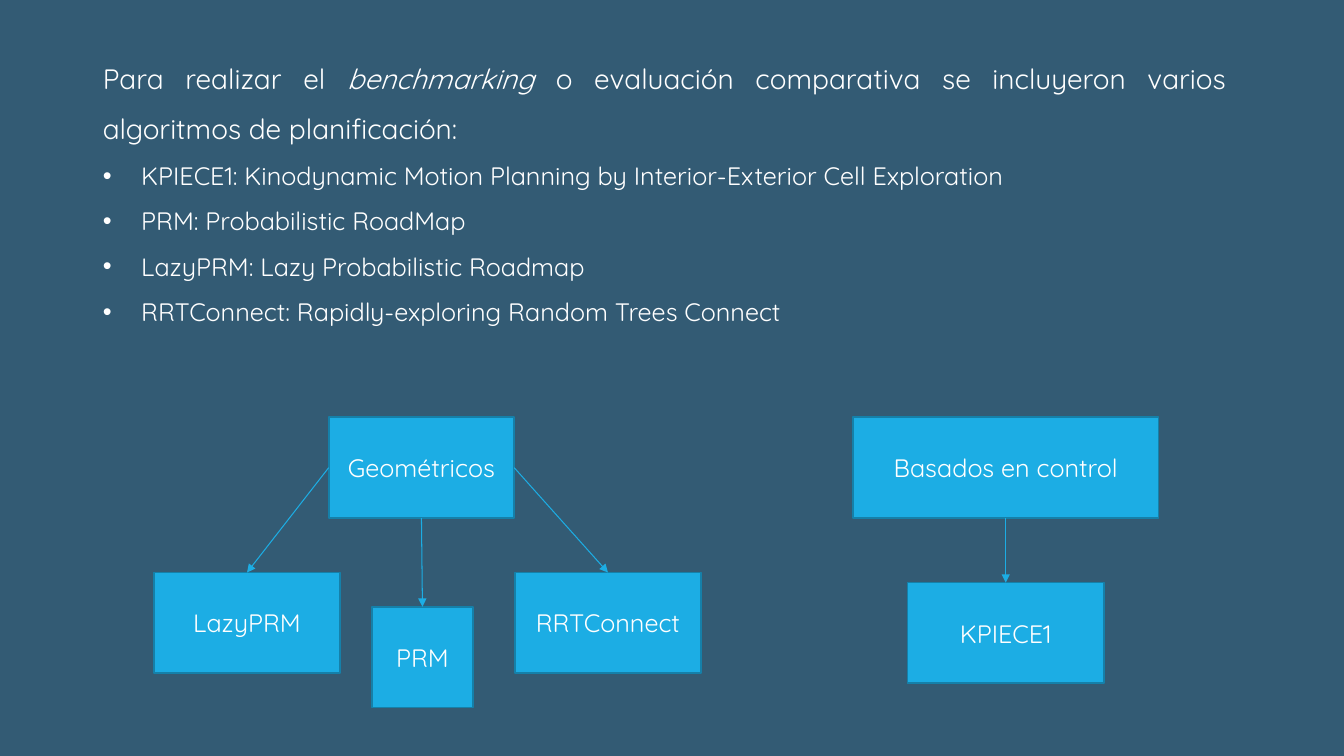
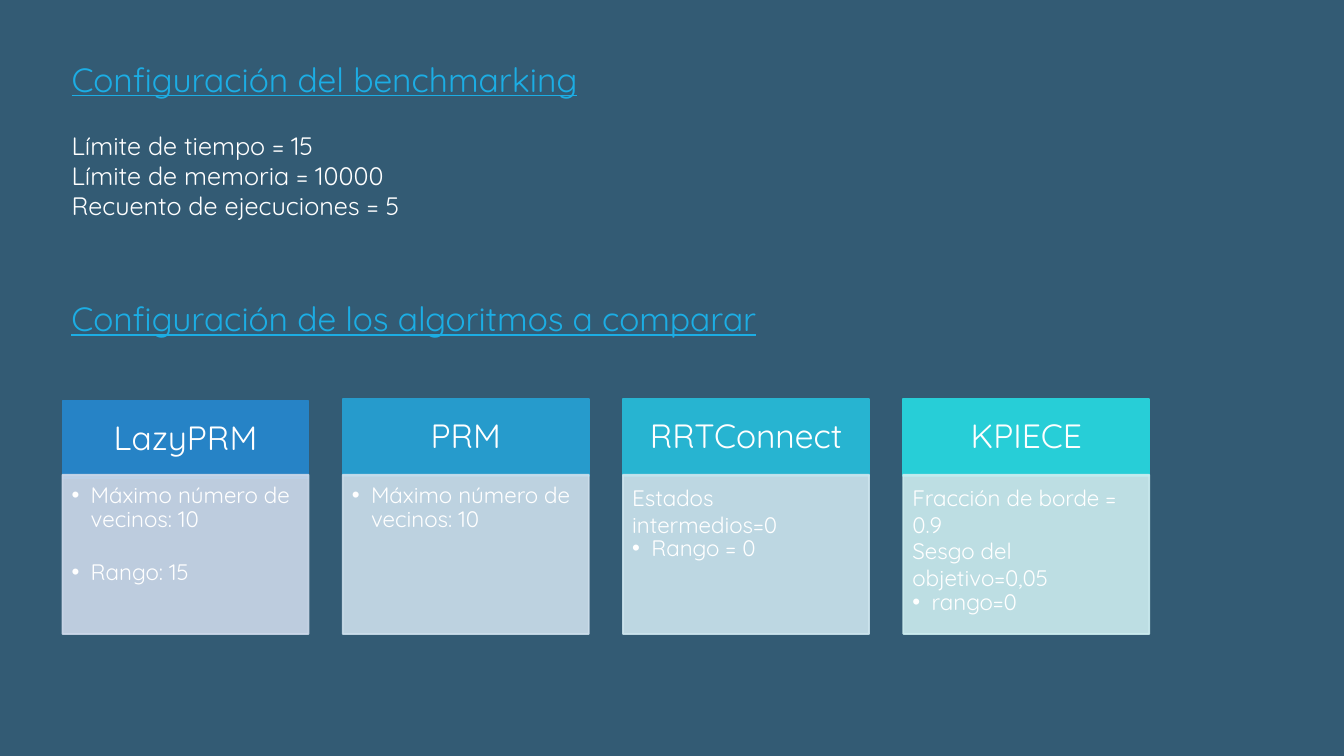
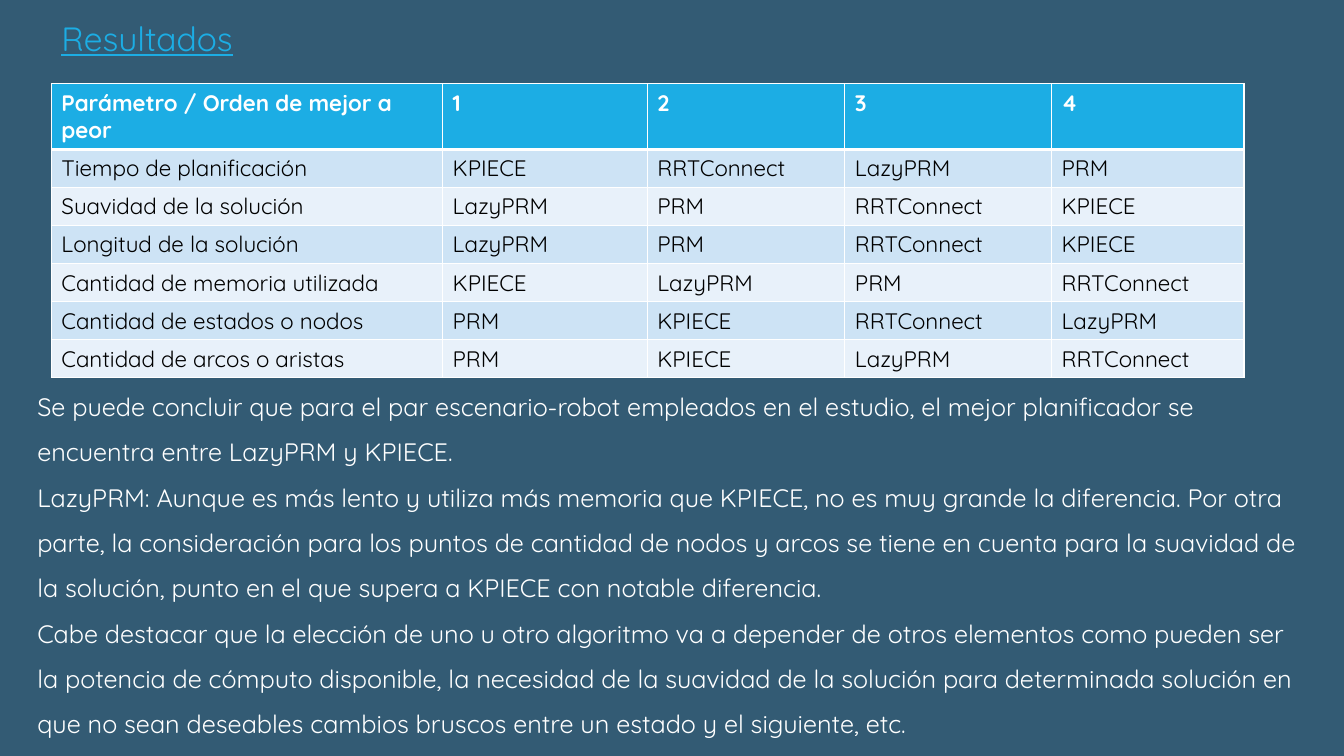
from lxml.etree import SubElement
from pptx import Presentation
from pptx.dml.color import RGBColor
from pptx.enum.shapes import MSO_CONNECTOR, MSO_SHAPE
from pptx.enum.text import MSO_ANCHOR, MSO_AUTO_SIZE, PP_ALIGN
from pptx.oxml.ns import qn
from pptx.util import Inches, Pt

FONT = "Quicksand"
NAVY = RGBColor(0x33, 0x5B, 0x74)
SKY = RGBColor(0x1C, 0xAD, 0xE4)
EDGE = RGBColor(0x15, 0x80, 0xA9)
WHITE = RGBColor(0xFF, 0xFF, 0xFF)
BLACK = RGBColor(0, 0, 0)
BANDS = RGBColor(0xE8, 0xF1, 0xFA), RGBColor(0xCD, 0xE3, 0xF5)

PLANS = [
    "KPIECE1: Kinodynamic Motion Planning by Interior-Exterior Cell Exploration",
    "PRM: Probabilistic RoadMap",
    "LazyPRM: Lazy Probabilistic Roadmap",
    "RRTConnect: Rapidly-exploring Random Trees Connect",
]
LIMITS = ["Límite de tiempo = 15", "Límite de memoria = 10000",
          "Recuento de ejecuciones = 5"]
CARDS = [
    ("LazyPRM", RGBColor(0x26, 0x83, 0xC6), RGBColor(0xCD, 0xD9, 0xEA), 0.02,
     [], ["Máximo número de vecinos: 10", "Rango: 15"]),
    ("PRM", RGBColor(0x26, 0x9B, 0xCC), RGBColor(0xCD, 0xDF, 0xEC), 0,
     [], ["Máximo número de vecinos: 10"]),
    ("RRTConnect", RGBColor(0x27, 0xB4, 0xD1), RGBColor(0xCD, 0xE5, 0xEE), 0,
     ["Estados intermedios=0"], ["Rango = 0"]),
    ("KPIECE", RGBColor(0x27, 0xCE, 0xD7), RGBColor(0xCD, 0xED, 0xF0), 0,
     ["Fracción de borde = 0.9", "Sesgo del objetivo=0,05"], ["rango=0"]),
]
RANKS = [
    ["Parámetro / Orden de mejor a peor", "1", "2", "3", "4"],
    ["Tiempo de planificación", "KPIECE", "RRTConnect", "LazyPRM", "PRM"],
    ["Suavidad de la solución", "LazyPRM", "PRM", "RRTConnect", "KPIECE"],
    ["Longitud de la solución", "LazyPRM", "PRM", "RRTConnect", "KPIECE"],
    ["Cantidad de memoria utilizada", "KPIECE", "LazyPRM", "PRM", "RRTConnect"],
    ["Cantidad de estados o nodos", "PRM", "KPIECE", "RRTConnect", "LazyPRM"],
    ["Cantidad de arcos o aristas", "PRM", "KPIECE", "LazyPRM", "RRTConnect"],
]
NOTES = [
    "Se puede concluir que para el par escenario-robot empleados en el estudio, "
    "el mejor planificador se encuentra entre LazyPRM y KPIECE.",
    "LazyPRM: Aunque es más lento y utiliza más memoria que KPIECE, no es muy "
    "grande la diferencia. Por otra parte, la consideración para los puntos de "
    "cantidad de nodos y arcos se tiene en cuenta para la suavidad de la "
    "solución, punto en el que supera a KPIECE con notable diferencia.",
    "Cabe destacar que la elección de uno u otro algoritmo va a depender de "
    "otros elementos como pueden ser la potencia de cómputo disponible, la "
    "necesidad de la suavidad de la solución para determinada solución en que "
    "no sean deseables cambios bruscos entre un estado y el siguiente, etc.",
]


def write(frame, text, size=18, color=WHITE, bold=False, under=False,
          align=PP_ALIGN.LEFT, line=1.0, before=0, hang=0):
    """Add a paragraph; a hang gives a bullet, and *stars* give italics."""
    para = frame.add_paragraph() if frame.text else frame.paragraphs[0]
    props = para._p.get_or_add_pPr()
    props.set("marL", str(Inches(hang)))
    props.set("indent", str(-Inches(hang)))
    if hang:
        SubElement(props, qn("a:buFont")).set("typeface", "Arial")
        SubElement(props, qn("a:buChar")).set("char", "•")
    else:
        SubElement(props, qn("a:buNone"))
    para.alignment = align
    para.line_spacing = line
    para.space_before, para.space_after = Pt(before), Pt(0)
    for i, part in enumerate(text.split("*")):
        run = para.add_run()
        run.text = part
        font = run.font
        font.name, font.size, font.color.rgb = FONT, Pt(size), color
        font.bold, font.italic, font.underline = bold, i % 2 == 1, under


def place(shape, box):
    """Move a text shape to its box and return its frame."""
    shape.left, shape.top, shape.width, shape.height = map(Inches, box)
    frame = shape.text_frame
    frame.word_wrap = True
    frame.auto_size = MSO_AUTO_SIZE.NONE
    frame.vertical_anchor = MSO_ANCHOR.TOP
    return frame


def head(shape, box, text):
    """Write a section heading."""
    write(place(shape, box), text, size=24, color=SKY, under=True)


def block(slide, box, fill, edge):
    """Draw a plain rectangle."""
    shape = slide.shapes.add_shape(MSO_SHAPE.RECTANGLE, *map(Inches, box))
    shape.shadow.inherit = False
    shape.fill.solid()
    shape.fill.fore_color.rgb = fill
    shape.line.color.rgb = edge
    shape.line.width = Pt(1.25)
    return shape


def node(slide, box, text):
    """Draw a labelled box of a tree."""
    shape = block(slide, box, SKY, EDGE)
    shape.text_frame.vertical_anchor = MSO_ANCHOR.MIDDLE
    write(shape.text_frame, text, align=PP_ALIGN.CENTER)
    return shape


def arrow(slide, start, side, end):
    """Join a side of one node to the top of another."""
    link = slide.shapes.add_connector(MSO_CONNECTOR.STRAIGHT, 0, 0, 0, 0)
    link.begin_connect(start, side)
    link.end_connect(end, 0)
    link.line.color.rgb = SKY
    link.line.width = Pt(0.75)
    SubElement(link.line._get_or_add_ln(), qn("a:tailEnd")).set("type", "triangle")
    SubElement(link._element.spPr, qn("a:effectLst"))


def tree(slide, left, top, root, kids):
    """Draw a root with its child nodes below, offset from left and top."""
    name, shift, width = root
    start = node(slide, (left + shift, top, width, 1), name)
    for name, shift, drop, width, side in kids:
        child = node(slide, (left + shift, top + drop, width, 1), name)
        arrow(slide, start, side, child)


def inset(frame, *sides):
    """Set the left, top, right and bottom margins."""
    (frame.margin_left, frame.margin_top,
     frame.margin_right, frame.margin_bottom) = map(Inches, sides)


def fade(shape):
    """Make fill and line slightly clear."""
    for color in shape._element.spPr.iter(qn("a:srgbClr")):
        SubElement(color, qn("a:alpha")).set("val", "90000")


def card(slide, left, top, name, dark, pale, drop, lines, points):
    """Draw a header block over a pale block of settings."""
    width = 2.44
    cap = block(slide, (left, top + drop, width, 0.76), dark, dark)
    frame = cap.text_frame
    frame.vertical_anchor = MSO_ANCHOR.MIDDLE
    inset(frame, 0.19, 0.11, 0.19, 0.11)
    write(frame, name, size=24, align=PP_ALIGN.CENTER, line=0.9)
    base = block(slide, (left, top + 0.75, width, 1.58), pale, pale)
    fade(base)
    frame = base.text_frame
    frame.vertical_anchor = MSO_ANCHOR.TOP
    inset(frame, 0.09, 0.09, 0.12, 0.14)
    for text in lines:
        write(frame, text, size=16)
    for i, text in enumerate(points):
        write(frame, text, size=16, line=0.9, before=21 * i, hang=0.19)


def rule(cell, **widths):
    """Draw the white borders of a cell."""
    props = cell._tc.get_or_add_tcPr()
    for side in "LRTB":
        edge = SubElement(props, qn("a:ln" + side), w=str(Pt(widths.get(side, 1))))
        paint = SubElement(edge, qn("a:solidFill"))
        SubElement(paint, qn("a:srgbClr")).set("val", str(WHITE))


def grid(slide, left, top, cols, rows):
    """Draw the ranking table."""
    highs = [0.62] + [0.37] * (len(rows) - 1)
    size = left, top, sum(cols), sum(highs)
    table = slide.shapes.add_table(len(rows), len(cols), *map(Inches, size)).table
    table.horz_banding = False
    for col, width in zip(table.columns, cols):
        col.width = Inches(width)
    for i, (row, high) in enumerate(zip(table.rows, highs)):
        row.height = Inches(high)
        for cell, text in zip(row.cells, rows[i]):
            rule(cell, B=1 if i else 3, T=3 if i == 1 else 1)
            cell.fill.solid()
            cell.fill.fore_color.rgb = BANDS[i % 2] if i else SKY
            write(cell.text_frame, text, size=16, bold=i == 0,
                  color=BLACK if i else WHITE)


def intro(slide):
    """Build the slide that lists and sorts the planners."""
    title = slide.shapes.title._element
    title.getparent().remove(title)
    frame = place(slide.placeholders[1], (0.92, 0.39, 11.34, 2.87))
    write(frame, "Para realizar el *benchmarking* o evaluación comparativa se "
          "incluyeron varios algoritmos de planificación:",
          size=20, align=PP_ALIGN.JUSTIFY, line=1.5)
    for text in PLANS:
        write(frame, text, align=PP_ALIGN.JUSTIFY, line=1.5, hang=0.38)
    tree(slide, 1.53, 4.14, ("Geométricos", 1.73, 1.84),
         [("LazyPRM", 0, 1.54, 1.84, 1), ("PRM", 2.16, 1.88, 1, 2),
          ("RRTConnect", 3.58, 1.54, 1.84, 3)])
    tree(slide, 8.46, 4.14, ("Basados en control", 0, 3.03),
         [("KPIECE1", 0.54, 1.64, 1.95, 2)])


def setup(slide):
    """Build the slide of settings."""
    head(slide.shapes.title, (0.61, 0.53, 7.73, 0.5), "Configuración del benchmarking")
    frame = place(slide.placeholders[1], (0.61, 1.24, 6.66, 1.01))
    for text in LIMITS:
        write(frame, text)
    head(slide.shapes.add_textbox(0, 0, 0, 0), (0.61, 2.91, 7.73, 0.5),
         "Configuración de los algoritmos a comparar")
    for i, data in enumerate(CARDS):
        card(slide, 0.62 + 2.78 * i, 3.96, *data)


def result(slide):
    """Build the slide of results."""
    head(slide.shapes.title, (0.51, 0.13, 9.24, 0.5), "Resultados")
    grid(slide, 0.51, 0.83, [3.88, 2.03, 1.96, 2.05, 1.91], RANKS)
    frame = place(slide.placeholders[1], (0.27, 3.68, 12.83, 3.68))
    for text in NOTES:
        write(frame, text, line=1.5)


def main():
    """Build and save the deck."""
    deck = Presentation()
    deck.slide_width, deck.slide_height = Inches(13.33), Inches(7.5)
    ground = deck.slide_master.background.fill
    ground.solid()
    ground.fore_color.rgb = NAVY
    for build in (intro, setup, result):
        build(deck.slides.add_slide(deck.slide_layouts[1]))
    deck.save("out.pptx")


if __name__ == "__main__":
    main()
